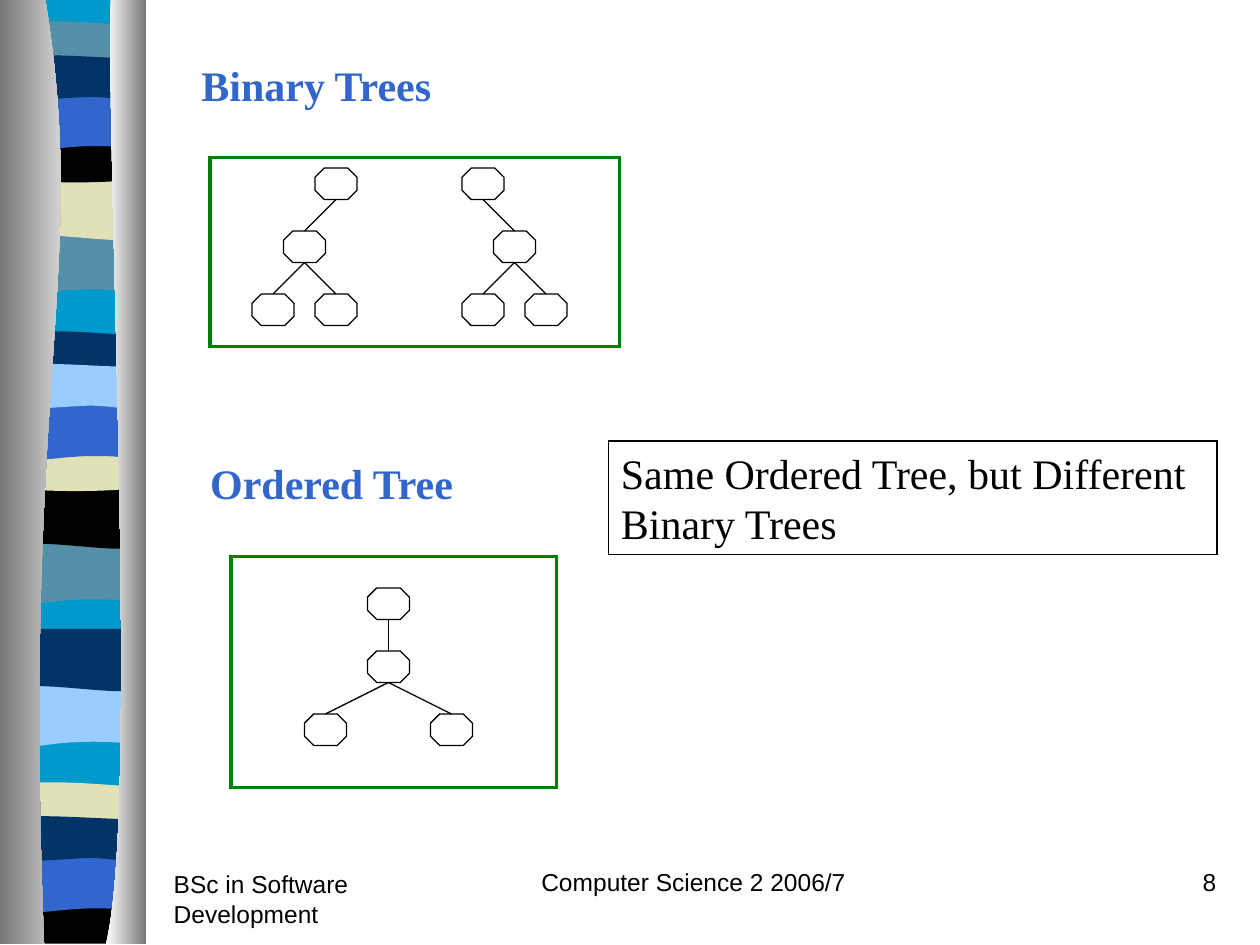
from dataclasses import dataclass

from lxml import etree
from pptx import Presentation
from pptx.dml.color import RGBColor
from pptx.enum.shapes import MSO_CONNECTOR, MSO_SHAPE
from pptx.enum.text import MSO_ANCHOR, PP_ALIGN
from pptx.oxml.ns import qn
from pptx.util import Inches, Pt

RECTANGLE, OCTAGON = MSO_SHAPE.RECTANGLE, MSO_SHAPE.OCTAGON
STRAIGHT = MSO_CONNECTOR.STRAIGHT
LEFT, CENTER, RIGHT = PP_ALIGN.LEFT, PP_ALIGN.CENTER, PP_ALIGN.RIGHT
TOP = MSO_ANCHOR.TOP

SKY, TEAL, SAND, NAVY = "0099CC", "5490A8", "E1E1B7", "003366"
BLUE, PALE, BLACK, GREEN = "3366CC", "99CCFF", "000000", "008000"
GRAY, WHITE = "767676", "FFFFFF"

PANEL_BOTTOM = 7.49
GRID = 1 / 12  # trees and frames sit on twelfths of an inch
NODE_WIDTH, NODE_HEIGHT, LEVEL_STEP = 4, 3, 6

Point = tuple[float, float]
Segment = tuple[Point, ...]  # one point is a line, three points are a cubic curve


@dataclass
class Outline:
    start: Point
    segments: list[Segment]


@dataclass
class Band:
    outline: Outline
    top: float
    color: str


@dataclass
class Label:
    text: str
    box: tuple[float, float, float, float]
    font: dict
    color: str = BLACK
    align: PP_ALIGN = LEFT
    outlined: bool = False


@dataclass
class Tree:
    """A root, one child moved sideways by child_shift, and two leaves below it (grid units)."""
    root_x: float
    top: float
    child_shift: float
    leaf_spread: float


# Band outlines: right side down, lower edge to the left, left side up, upper edge to the right
CORNER = (1.14, 0)
LEFT_UP = ((0.06, 0),)
BOWL_TOP = ((0.72, 0.05), (0.91, 0), CORNER)
RIBBON = Outline(CORNER, [((1.14, 7.47),), ((0.06, 7.47),), LEFT_UP])
WAVE = Outline(CORNER, [((1.14, 0.47),), ((0.39, 0.39), (0.24, 0.55), (0.06, 0.47)), LEFT_UP])
SWELL = Outline(CORNER, [((1.14, 0.47),), ((0.96, 0.55), (0.39, 0.41), (0.06, 0.47)), LEFT_UP])
THIN = Outline(CORNER, [((1.14, 0.24),), ((0.96, 0.28), (0.24, 0.28), (0.06, 0.24)), LEFT_UP,
                        ((0.12, -0.05), (0.29, -0.04), (0.47, -0.04)),
                        ((0.65, -0.04), (1, -0.01), CORNER)])
BOWL = Outline(CORNER, [((1.14, 0.33),), ((0.96, 0.38), (0.24, 0.38), (0.06, 0.33)), LEFT_UP,
                        BOWL_TOP])
FLOOR = Outline(CORNER, [((1.14, 0.37),), ((0.06, 0.37),), LEFT_UP, BOWL_TOP])
ARCH = Outline(CORNER, [((1.14, 0.47),), ((0.97, 0.42), (0.9, 0.42), (0.72, 0.42)),
                        ((0.54, 0.42), (0.22, 0.47), (0.06, 0.47)), LEFT_UP])
RIPPLE = Outline(CORNER, [((1.14, 0.31),), ((1.07, 0.36), (0.9, 0.31), (0.72, 0.31)),
                          ((0.54, 0.31), (0.17, 0.36), (0.06, 0.31)), LEFT_UP,
                          ((0.21, -0.05), (0.79, 0), (0.97, 0)),
                          ((1.15, 0), (1.1, 0), CORNER)])

BANDS = [
    Band(RIBBON, 0, SKY),
    Band(WAVE, 1.85, TEAL), Band(SWELL, 1.41, SAND), Band(THIN, 0.21, TEAL),
    Band(BOWL, 1.08, BLACK), Band(ARCH, 0.74, BLUE), Band(RIPPLE, 0.46, NAVY),
    Band(WAVE, 4.31, TEAL), Band(SWELL, 3.86, BLACK), Band(THIN, 2.67, NAVY),
    Band(BOWL, 3.53, SAND), Band(ARCH, 3.2, BLUE), Band(RIPPLE, 2.91, PALE),
    Band(WAVE, 5.44, PALE), Band(SWELL, 4.99, NAVY), Band(THIN, 6.25, SAND),
    Band(FLOOR, 7.12, BLACK), Band(ARCH, 6.79, BLUE), Band(RIPPLE, 6.5, NAVY),
]
LEFT_PANEL = Outline((0.36, 0), [((0.71, 2.16), (0.17, 2.96), (0.35, PANEL_BOTTOM)),
                                 ((0, PANEL_BOTTOM),), ((0, 0),)])
RIGHT_PANEL = Outline((0.88, 0), [((0.84, 1.25), (1.11, 6.46), (0.84, PANEL_BOTTOM)),
                                  ((1.16, PANEL_BOTTOM),), ((1.16, 0),)])

FOOTER = {"name": "Arial", "size": Pt(14), "bold": False}
HEADING = {"name": "Times New Roman", "size": Pt(24), "bold": True}
BODY = {**HEADING, "bold": False}
LABELS = [
    Label("BSc in Software Development", (1.28, 6.85, 2.08, 0.5), FOOTER),
    Label("Computer Science 2 2006/7", (3.92, 6.83, 3.17, 0.5), FOOTER, align=CENTER),
    Label("8", (7.67, 6.83, 2.08, 0.5), FOOTER, align=RIGHT),
    Label("Binary Trees", (1.5, 0.42, 8.08, 0.5), HEADING, BLUE),
    Label("Same Ordered Tree, but Different Binary Trees", (4.83, 3.5, 4.83, 0.9),
          BODY, outlined=True),
    Label("Ordered Tree", (1.57, 3.58, 2.43, 0.5), HEADING, BLUE),
]
TREES = [Tree(32, 16, -3, 3), Tree(46, 16, 3, 3), Tree(37, 56, 0, 6)]
FRAMES = [(20, 15, 39, 18), (22, 53, 31, 22)]


def rgb(color: str) -> RGBColor:
    return RGBColor.from_string(color)


def on_grid(values) -> list[float]:
    return [value * GRID for value in values]


def draw_outline(slide, outline: Outline, top: float = 0):
    """Lay straight steps through all points, then merge each three of a curve."""
    points = [outline.start, *(point for segment in outline.segments for point in segment)]
    corners = [(Inches(x), Inches(top + y)) for x, y in points]
    builder = slide.shapes.build_freeform(*corners[0], scale=1.0)
    builder.add_line_segments(corners[1:], close=True)
    shape = builder.convert_to_shape()
    steps = iter(list(shape._element.iter(qn("a:lnTo"))))
    for segment in outline.segments:
        first, *others = [next(steps) for _ in segment]
        if others:
            first.tag = qn("a:cubicBezTo")
            for step in others:
                first.append(step[0])
                step.getparent().remove(step)
    shape.shadow.inherit = False
    shape.line.fill.background()
    return shape


def draw_band(slide, band: Band) -> None:
    shape = draw_outline(slide, band.outline, band.top)
    shape.fill.solid()
    shape.fill.fore_color.rgb = rgb(band.color)


def draw_panel(slide, outline: Outline, colors: tuple[str, str]) -> None:
    shape = draw_outline(slide, outline)
    shape.fill.gradient()
    shape.fill.gradient_angle = 0
    for stop, color in zip(shape.fill.gradient_stops, colors):
        stop.color.rgb = rgb(color)


def draw_outlined(slide, kind, box, color: str = BLACK, width: float = 0.75):
    shape = slide.shapes.add_shape(kind, *map(Inches, box))
    shape.shadow.inherit = False
    shape.fill.background()
    shape.line.color.rgb = rgb(color)
    shape.line.width = Pt(width)
    etree.SubElement(shape._element.spPr.find(qn("a:ln")), qn("a:miter"), lim="800000")
    return shape


def draw_label(slide, label: Label) -> None:
    if label.outlined:
        shape = draw_outlined(slide, RECTANGLE, label.box)
    else:
        shape = slide.shapes.add_textbox(*map(Inches, label.box))
    frame = shape.text_frame
    frame.word_wrap = True
    frame.vertical_anchor = TOP
    paragraph = frame.paragraphs[0]
    paragraph.text = label.text
    paragraph.alignment = label.align
    for name, value in label.font.items():
        setattr(paragraph.font, name, value)
    paragraph.font.color.rgb = rgb(label.color)


def draw_edge(slide, parent: Point, child: Point) -> None:
    ends = on_grid((parent[0], parent[1] + NODE_HEIGHT, *child))
    connector = slide.shapes.add_connector(STRAIGHT, *map(Inches, ends))
    connector.line.color.rgb = rgb(BLACK)
    connector.line.width = Pt(0.75)
    etree.SubElement(connector._element.spPr, qn("a:effectLst"))


def draw_tree(slide, tree: Tree) -> None:
    root = (tree.root_x, tree.top)
    child = (tree.root_x + tree.child_shift, tree.top + LEVEL_STEP)
    leaves = [(child[0] + side * tree.leaf_spread, child[1] + LEVEL_STEP) for side in (-1, 1)]
    for x, y in (root, child, *leaves):
        draw_outlined(slide, OCTAGON, on_grid((x - NODE_WIDTH / 2, y, NODE_WIDTH, NODE_HEIGHT)))
    draw_edge(slide, root, child)
    for leaf in leaves:
        draw_edge(slide, child, leaf)


def main() -> None:
    presentation = Presentation()
    presentation.slide_width, presentation.slide_height = Inches(10), Inches(7.5)
    slide = presentation.slides.add_slide(presentation.slide_layouts[6])

    # Striped ribbon between two shaded panels
    for band in BANDS:
        draw_band(slide, band)
    draw_panel(slide, LEFT_PANEL, (GRAY, WHITE))
    draw_panel(slide, RIGHT_PANEL, (WHITE, GRAY))

    # Footer, headings and remark
    for label in LABELS:
        draw_label(slide, label)

    # Trees and their frames
    for tree in TREES:
        draw_tree(slide, tree)
    for box in FRAMES:
        draw_outlined(slide, RECTANGLE, on_grid(box), GREEN, 2)

    presentation.save("out.pptx")


if __name__ == "__main__":
    main()
